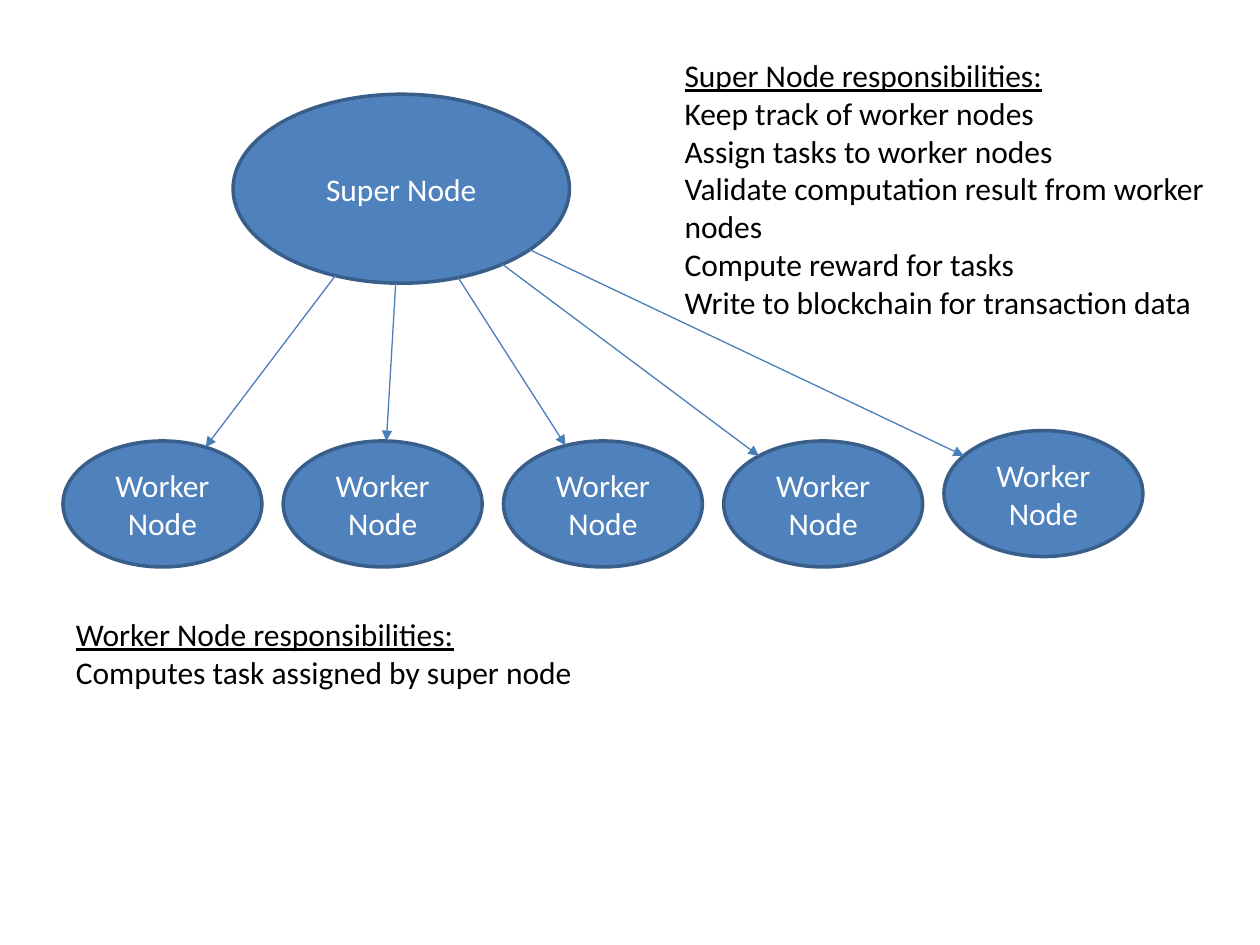
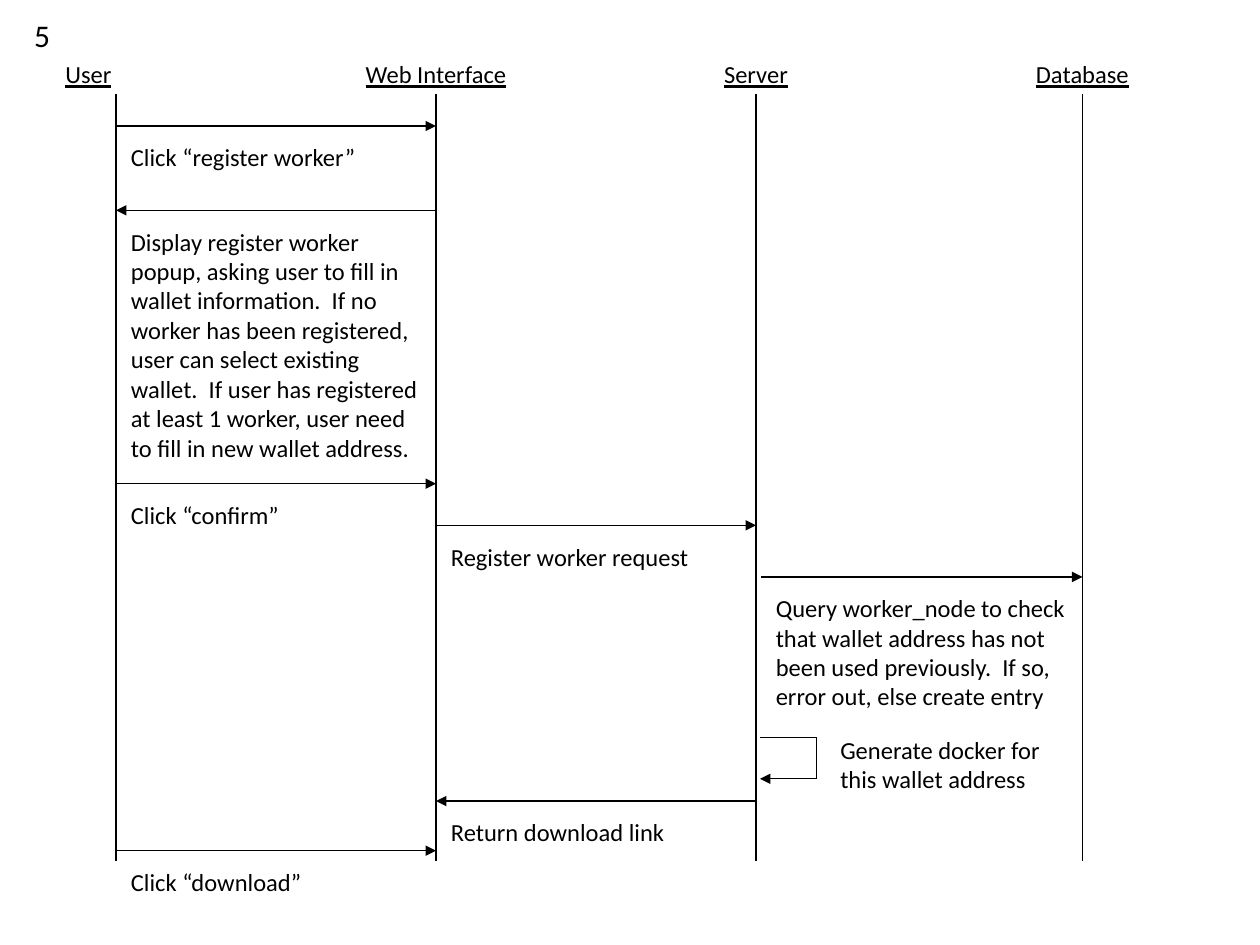
"""Builds a node overview and a worker registration sequence diagram."""
from math import hypot

from lxml.etree import SubElement
from pptx import Presentation
from pptx.dml.color import RGBColor
from pptx.enum.shapes import MSO_CONNECTOR, MSO_SHAPE
from pptx.enum.text import MSO_ANCHOR, MSO_AUTO_SIZE, PP_ALIGN
from pptx.oxml.ns import qn
from pptx.util import Cm, Pt

BLUE = RGBColor(0x4F, 0x81, 0xBD)
NAVY = RGBColor(0x3A, 0x5E, 0x8A)
ARROW_BLUE = RGBColor(0x4A, 0x7E, 0xBB)
BLACK = RGBColor(0, 0, 0)
WHITE = RGBColor(0xFF, 0xFF, 0xFF)

SUPER_NODE = (4.7, 1.9, 6.78, 3.81)
WORKERS = [(1.27 + 4.44 * i, y, 4.01, 2.54)
           for i, y in enumerate([8.89, 8.89, 8.89, 8.89, 8.68])]

USER, WEB, SERVER, DATABASE = 2.34, 8.79, 15.24, 21.82
LIFE_TOP, LIFE_BOTTOM = 1.9, 17.35
HEADER_W, LABEL_W = 4.4, 6.2
MESSAGES = [
    (USER, WEB, 2.54, "Click “register worker”"),
    (WEB, USER, 4.24, "Display register worker popup, asking user to fill in "
     "wallet information.  If no worker has been registered, user can select "
     "existing wallet.  If user has registered at least 1 worker, user need "
     "to fill in new wallet address."),
    (USER, WEB, 9.75, "Click “confirm”"),
    (WEB, SERVER, 10.59, "Register worker request"),
    (SERVER + 0.1, DATABASE, 11.63, "Query worker_node to check that wallet "
     "address has not been used previously.  If so, error out, else create "
     "entry"),
    (SERVER, WEB, 16.15, "Return download link"),
    (USER, WEB, 17.15, "Click “download”"),
]


def center(box):
    """Return the middle of a box."""
    x, y, w, h = box
    return x + w / 2, y + h / 2


def rim_point(box, target):
    """Return where the line from an ellipse's centre to target leaves it."""
    cx, cy = center(box)
    dx, dy = target[0] - cx, target[1] - cy
    reach = hypot(dx / (box[2] / 2), dy / (box[3] / 2))
    return cx + dx / reach, cy + dy / reach


class Deck:
    """Holds the style and the current slide."""

    font = "Calibri"
    line_width = Pt(0.75)
    inset = Cm(0.13)

    def __init__(self):
        self.prs = Presentation()
        self.prs.slide_width, self.prs.slide_height = Cm(25.4), Cm(19.05)
        self.s = None

    def slide(self):
        """Start a blank slide."""
        self.s = self.prs.slides.add_slide(self.prs.slide_layouts[6])

    def fill_text(self, tf, lines, size, color, align, title=False):
        """Fill a text frame, underlining the first line if it is a title."""
        tf.margin_left = tf.margin_right = self.inset
        tf.margin_top = tf.margin_bottom = self.inset
        tf.text = "\n".join(lines)
        for i, p in enumerate(tf.paragraphs):
            p.alignment = align
            for r in p.runs:
                r.font.name, r.font.size = self.font, Pt(size)
                r.font.color.rgb = color
                r.font.underline = title and i == 0

    def text(self, x, y, w, h, *lines, size=14, align=PP_ALIGN.LEFT,
             title=False, wrap=True):
        """Add a text box with one paragraph per line."""
        tf = self.s.shapes.add_textbox(Cm(x), Cm(y), Cm(w), Cm(h)).text_frame
        tf.word_wrap = wrap
        tf.auto_size = MSO_AUTO_SIZE.SHAPE_TO_FIT_TEXT
        self.fill_text(tf, lines, size, BLACK, align, title)

    def node(self, box, label):
        """Add a labelled ellipse."""
        sp = self.s.shapes.add_shape(MSO_SHAPE.OVAL, *map(Cm, box))
        sp.shadow.inherit = False
        sp.fill.solid()
        sp.fill.fore_color.rgb = BLUE
        sp.line.color.rgb, sp.line.width = NAVY, Pt(2)
        sp.text_frame.word_wrap = True
        sp.text_frame.vertical_anchor = MSO_ANCHOR.MIDDLE
        self.fill_text(sp.text_frame, [label], 18, WHITE, PP_ALIGN.CENTER)

    def line(self, start, end, color=BLACK, arrow=False):
        """Add a straight line, with an arrowhead at its end if wanted."""
        sp = self.s.shapes.add_connector(
            MSO_CONNECTOR.STRAIGHT, *map(Cm, (*start, *end)))
        sp.line.color.rgb, sp.line.width = color, self.line_width
        props = sp.element.spPr
        if arrow:
            SubElement(props.find(qn("a:ln")), qn("a:tailEnd"),
                       type="triangle")
        SubElement(props, qn("a:effectLst"))


def build_nodes(d):
    """Draw the super node, its workers and their responsibilities."""
    d.slide()
    d.node(SUPER_NODE, "Super Node")
    for worker in WORKERS:
        d.node(worker, "Worker Node")
        d.line(rim_point(SUPER_NODE, center(worker)),
               rim_point(worker, center(SUPER_NODE)), ARROW_BLUE, arrow=True)
    d.text(13.67, 1, 11.18, 5.8, "Super Node responsibilities:",
           "Keep track of worker nodes", "Assign tasks to worker nodes",
           "Validate computation result from worker nodes",
           "Compute reward for tasks",
           "Write to blockchain for transaction data", size=18, title=True)
    d.text(1.4, 12.27, 11.18, 1.73, "Worker Node responsibilities:",
           "Computes task assigned by super node", size=18, title=True)


def build_sequence(d):
    """Draw the registration sequence."""
    d.slide()
    d.text(0.56, 0.2, 0.6, 0.9, "5", size=18, wrap=False)
    d.text(1.19, 1.07, 2.29, 0.79, "User", title=True)
    for x, name in [(WEB, "Web Interface"), (SERVER, "Server"),
                    (DATABASE, "Database")]:
        d.text(x - HEADER_W / 2, 1.07, HEADER_W, 0.79, name,
               align=PP_ALIGN.CENTER, title=True)
    for x in (USER, WEB, SERVER, DATABASE):
        d.line((x, LIFE_TOP), (x, LIFE_BOTTOM))
    for start, end, y, label in MESSAGES:
        d.line((start, y), (end, y), arrow=True)
        d.text(min(start, end) + 0.17, y + 0.2, LABEL_W, 0.79, label)

    left, right, top, bottom = SERVER + 0.08, 16.46, 14.86, 15.7
    d.line((left, top), (right, top))
    d.line((right, top), (right, bottom))
    d.line((right, bottom), (left, bottom), arrow=True)
    d.text(16.81, 14.68, 4.93, 1.42, "Generate docker for this wallet address")


def main():
    """Build and save the deck."""
    d = Deck()
    build_nodes(d)
    build_sequence(d)
    d.prs.save("out.pptx")


if __name__ == "__main__":
    main()
